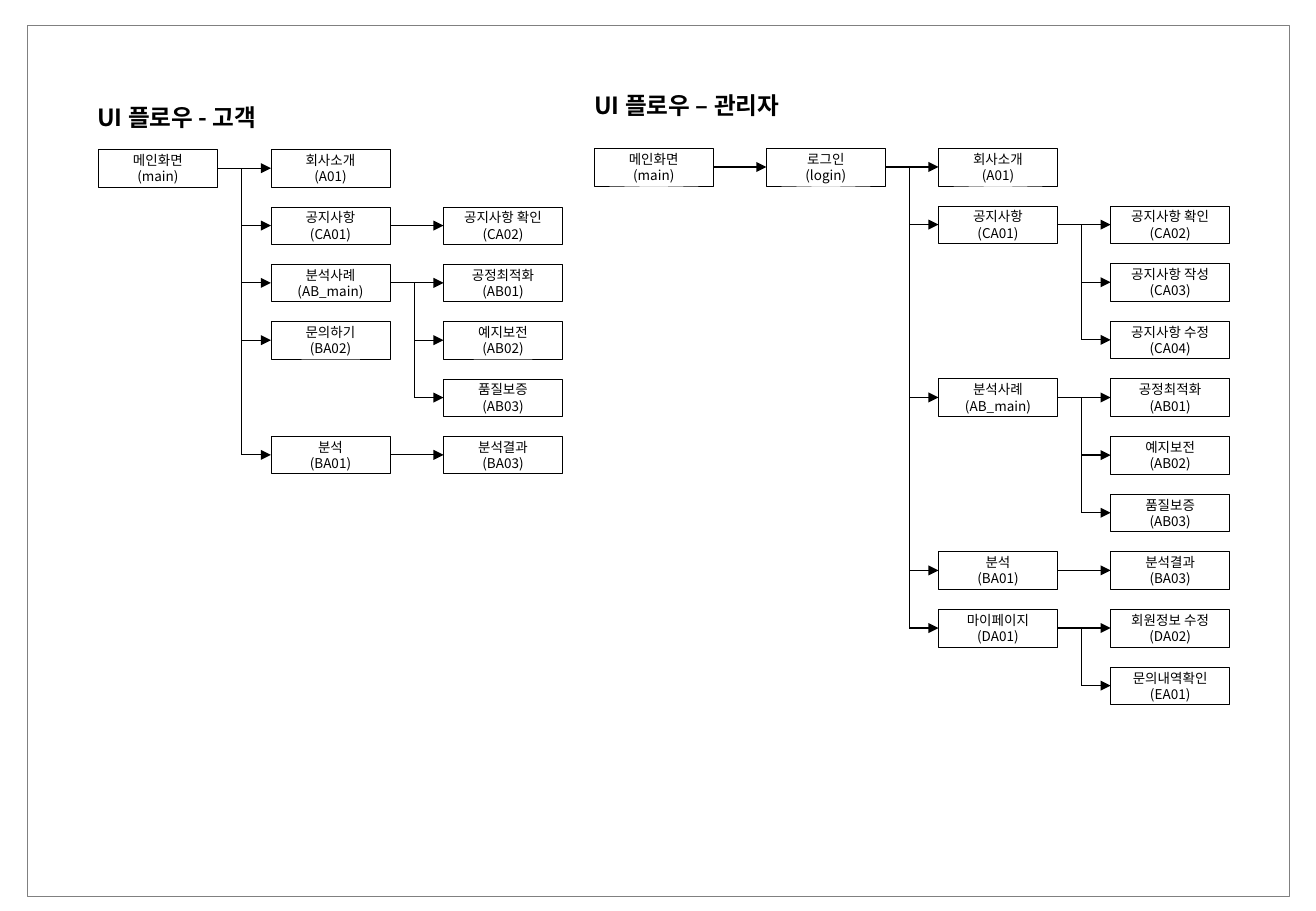
from pptx import Presentation
from pptx.dml.color import RGBColor
from pptx.enum.shapes import MSO_CONNECTOR, MSO_SHAPE
from pptx.enum.text import MSO_ANCHOR, MSO_AUTO_SIZE, PP_ALIGN
from pptx.oxml.ns import qn
from pptx.util import Inches, Pt
from lxml.etree import SubElement

BLACK = RGBColor(0x00, 0x00, 0x00)
GRAY = RGBColor(0x80, 0x80, 0x80)
WHITE = RGBColor(0xFF, 0xFF, 0xFF)
FONT = "Noto Sans CJK KR"
SCREEN_W, SCREEN_H = 0.98, 0.31
BRANCH = 0.24

ANALYSIS_CASES = [("공정최적화", "AB01"), ("예지보전", "AB02"), ("품질보증", "AB03")]


def leaves(first_row, screens):
    """Return childless screens on consecutive rows."""
    return [(name, code, first_row + i, []) for i, (name, code) in enumerate(screens)]


CUSTOMER_FLOW = ("메인화면", "main", 0, [
    ("회사소개", "A01", 0, []),
    ("공지사항", "CA01", 1, leaves(1, [("공지사항 확인", "CA02")])),
    ("분석사례", "AB_main", 2, leaves(2, ANALYSIS_CASES)),
    ("문의하기", "BA02", 3, []),
    ("분석", "BA01", 5, leaves(5, [("분석결과", "BA03")])),
])
ADMIN_FLOW = ("메인화면", "main", 0, [("로그인", "login", 0, [
    ("회사소개", "A01", 0, []),
    ("공지사항", "CA01", 1, leaves(1, [
        ("공지사항 확인", "CA02"), ("공지사항 작성", "CA03"), ("공지사항 수정", "CA04")])),
    ("분석사례", "AB_main", 4, leaves(4, ANALYSIS_CASES)),
    ("분석", "BA01", 7, leaves(7, [("분석결과", "BA03")])),
    ("마이페이지", "DA01", 8, leaves(8, [("회원정보 수정", "DA02"), ("문의내역확인", "EA01")])),
])])


def add_text(paragraph, text, size, bold=False):
    """Add one run in the slide font."""
    run = paragraph.add_run()
    run.text = text
    run.font.size = Pt(size)
    run.font.bold = bold
    run.font.color.rgb = BLACK
    run.font.name = FONT
    SubElement(run.font._element, qn("a:ea")).set("typeface", FONT)


def add_line(slide, x1, y1, x2, y2, arrow=False):
    """Draw a straight black line, with an arrowhead at its end on request."""
    line = slide.shapes.add_connector(
        MSO_CONNECTOR.STRAIGHT, Inches(x1), Inches(y1), Inches(x2), Inches(y2))
    line.line.color.rgb = BLACK
    line.line.width = Pt(0.75)
    if arrow:
        SubElement(line.line._get_or_add_ln(), qn("a:tailEnd")).set("type", "triangle")
    SubElement(line._element.spPr, qn("a:effectLst"))
    return line


def add_frame(slide, left, top, width, height):
    """Draw the thin page border."""
    frame = slide.shapes.add_shape(
        MSO_SHAPE.RECTANGLE, Inches(left), Inches(top), Inches(width), Inches(height))
    frame.shadow.inherit = False
    frame.fill.background()
    frame.line.color.rgb = GRAY
    frame.line.width = Pt(0.25)


def add_heading(slide, left, top, text):
    """Place the bold heading of a flow."""
    heading = slide.shapes.add_textbox(Inches(left), Inches(top), Inches(2.13), Inches(0.34))
    frame = heading.text_frame
    frame.word_wrap = True
    frame.auto_size = MSO_AUTO_SIZE.SHAPE_TO_FIT_TEXT
    frame.margin_left = 0
    add_text(frame.paragraphs[0], text, 14, bold=True)


def add_screen(slide, left, top, name, code):
    """Draw one screen box with its name and code."""
    screen = slide.shapes.add_shape(
        MSO_SHAPE.RECTANGLE, Inches(left), Inches(top), Inches(SCREEN_W), Inches(SCREEN_H))
    screen.shadow.inherit = False
    screen.fill.solid()
    screen.fill.fore_color.rgb = WHITE
    screen.line.color.rgb = BLACK
    screen.line.width = Pt(0.25)
    frame = screen.text_frame
    frame.word_wrap = True
    frame.vertical_anchor = MSO_ANCHOR.MIDDLE
    for paragraph, text in ((frame.paragraphs[0], name), (frame.add_paragraph(), f"({code})")):
        paragraph.alignment = PP_ALIGN.CENTER
        add_text(paragraph, text, 8)
    return screen


def add_flow(slide, left, top, width, height, columns, rows, root):
    """Lay out a screen tree on an even grid that fills the given box."""
    column_step = (width - SCREEN_W) / (columns - 1)
    row_step = (height - SCREEN_H) / (rows - 1)

    def middle(row):
        """Return the vertical centre of a row."""
        return top + row * row_step + SCREEN_H / 2

    def add_branch(node, column):
        """Draw a screen, its children and the lines between them."""
        name, code, row, children = node
        x = left + column * column_step
        parent = add_screen(slide, x, top + row * row_step, name, code)
        child_x = x + column_step
        trunk_x = child_x - BRANCH
        for child in children:
            child_row = child[2]
            y = middle(child_row)
            target = add_branch(child, column + 1)
            start_x = x + SCREEN_W if child_row == row else trunk_x
            arrow = add_line(slide, start_x, y, child_x, y, arrow=True)
            if child_row == row:
                arrow.begin_connect(parent, 3)
            arrow.end_connect(target, 1)
        if len(children) > 1:
            add_line(slide, trunk_x, middle(row), trunk_x, middle(children[-1][2]))
        return parent

    add_branch(root, 0)


def main():
    """Build the UI flow slide."""
    deck = Presentation()
    deck.slide_width, deck.slide_height = Inches(10.83), Inches(7.5)
    slide = deck.slides.add_slide(deck.slide_layouts[6])
    add_frame(slide, 0.22, 0.21, 10.39, 7.17)
    add_heading(slide, 0.8, 0.8, "UI 플로우 - 고객")
    add_flow(slide, 0.81, 1.23, 3.82, 2.67, 3, 6, CUSTOMER_FLOW)
    add_heading(slide, 4.89, 0.7, "UI 플로우 – 관리자")
    add_flow(slide, 4.89, 1.22, 5.23, 4.58, 4, 10, ADMIN_FLOW)
    deck.save("out.pptx")


if __name__ == "__main__":
    main()
